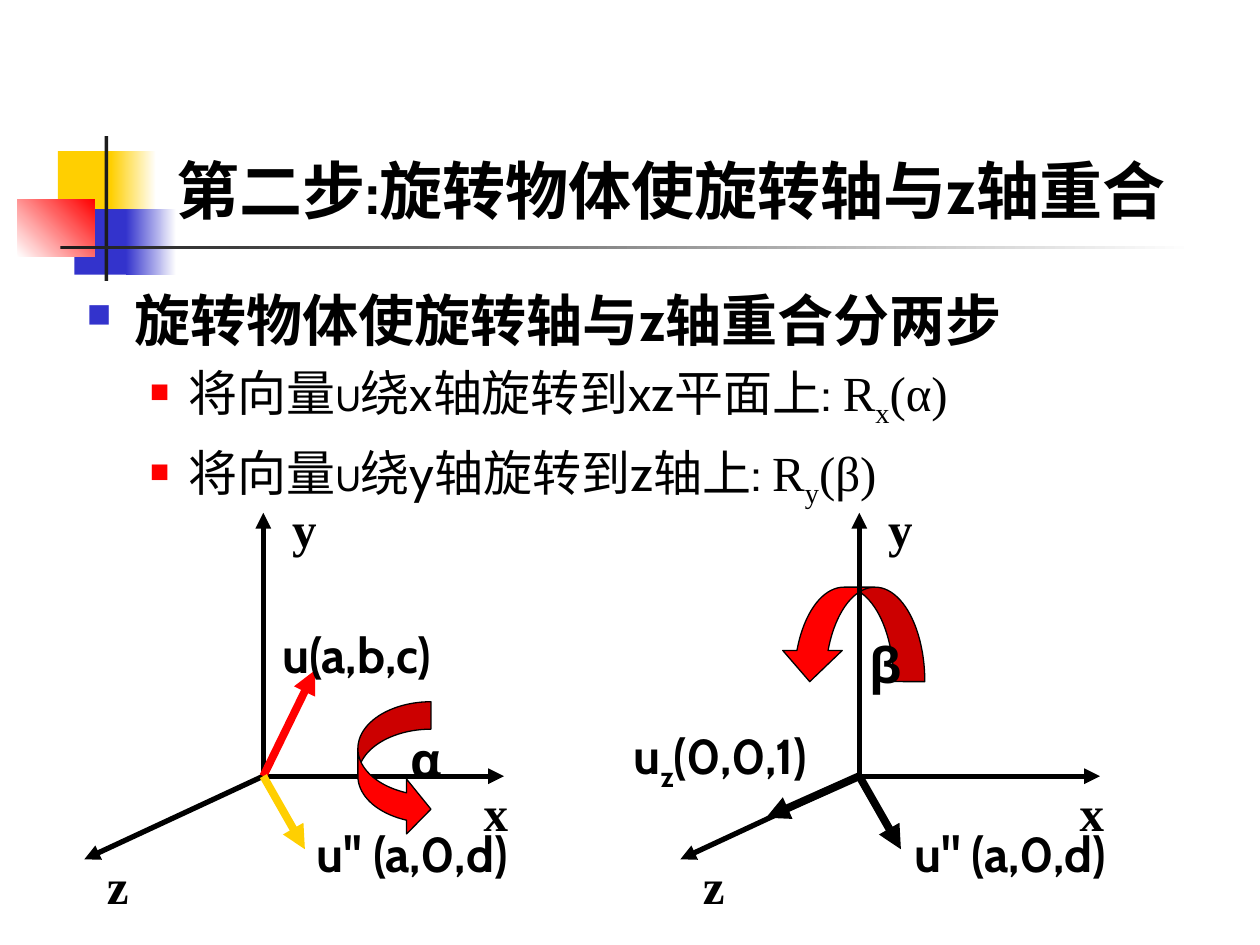
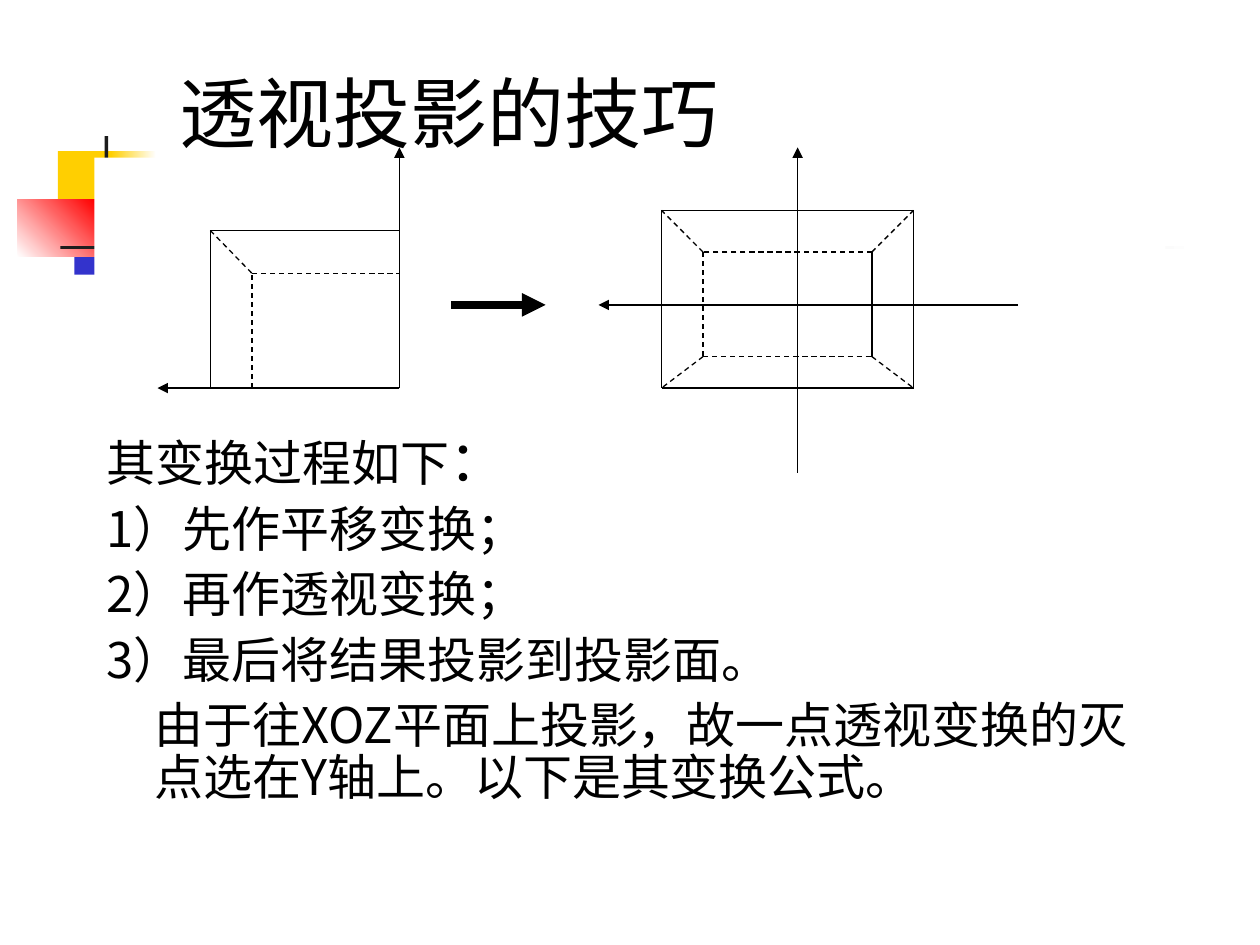
"""Build two slides on rotating about an arbitrary axis and perspective projection."""
import pptx
import pptx.dml.color
import pptx.enum.dml
import pptx.enum.shapes
import pptx.enum.text
import pptx.oxml
import pptx.oxml.ns
import pptx.util
from lxml import etree

Inches, Pt = pptx.util.Inches, pptx.util.Pt
SHAPE = pptx.enum.shapes.MSO_SHAPE
ANCHOR = pptx.enum.text.MSO_ANCHOR

CABIN, NOTO, TIMES = "Cabin", "Noto Sans CJK SC", "Times New Roman"
BLACK, WHITE, DARK = "000000", "FFFFFF", "1C1C1C"
YELLOW, BLUE, RED = "FFCF01", "3333CC", "FF0000"

MOTIF = [
    ((0.46, 1.2, 0.48, 0.52), [YELLOW], 0),
    ((0.88, 1.2, 0.36, 0.52), [YELLOW, WHITE], 0),
    ((0.59, 1.66, 0.46, 0.52), [BLUE], 0),
    ((1, 1.66, 0.4, 0.52), [BLUE, WHITE], 0),
    ((0.14, 1.58, 0.61, 0.46), [WHITE, RED], 45),
    ((0.83, 1.08, 0.03, 1.15), [DARK], 0),
    ((0.48, 1.95, 9, 0.03), [DARK, WHITE], 0),
]

ROTATION_TITLE = "第二步:旋转物体使旋转轴与z轴重合"
ROTATION_STEPS = [
    ([("旋转物体使旋转轴与z轴重合分两步", {})],
     dict(size=32, bold=True, left=0.38, hang=0.38, bullet=(BLUE, 60), exact=41)),
    ([("将向量", {}), ("U", dict(size=20)), ("绕x轴旋转到xz平面上: ", {}),
      ("R", dict(font=TIMES)), ("x", dict(font=TIMES, sub=True)), ("(α)", dict(font=TIMES))],
     dict(left=0.81, hang=0.31, bullet=(RED, 55), exact=37, before=7)),
    ([("将向量", {}), ("U", dict(size=20)), ("绕y轴旋转到z轴上: ", {}),
      ("R", dict(font=TIMES)), ("y", dict(font=TIMES, sub=True)), ("(β)", dict(font=TIMES))],
     dict(left=0.81, hang=0.31, bullet=(RED, 55), exact=37, before=8.5)),
]
ORIGINS = [(2.09, 6.16), (6.82, 6.16)]
AXIS_TIPS = [(0, -2.09), (1.91, 0), (-1.42, 0.66)]
AXIS_LABELS = [("x", 1.65, 0, 0.39), ("z", -1.34, 0.58, 0.37), ("y", 0.13, -2.25, 0.39)]
VECTORS = [
    [((0.41, -0.84), RED), ((0.33, 0.58), YELLOW)],
    [((-0.74, 0.33), BLACK), ((0.33, 0.58), BLACK)],
]
TURN_X = (SHAPE.CURVED_RIGHT_ARROW, (2.84, 5.57, 0.58, 1.07), (0.375, 0.75, 0.333), False)
TURN_Y = (SHAPE.CURVED_DOWN_ARROW, (6.19, 4.66, 1.15, 0.75), (0.33, 0.63, 0.33), True)
VECTOR_LABELS = [
    ("u(a,b,c)", (2.14, 4.91, 1.62, 0.57)),
    ("α", (3.16, 5.74, 0.45, 0.57)),
    ("β", (6.8, 4.99, 0.45, 0.57)),
    ("u'' (a,0,d)", (2.41, 6.49, 1.95, 0.57)),
    ("u'' (a,0,d)", (7.16, 6.49, 1.95, 0.57)),
]
UNIT_LABEL = [("u", {}), ("z", dict(sub=True)), ("(0,0,1)", {})]

PROJECTION_TITLE = "透视投影的技巧"
PROJECTION_INTRO = [("其变换过程如下", {}), ("：", dict(size=32))]
PROJECTION_STEPS = ["1）先作平移变换；", "2）再作透视变换；", "3）最后将结果投影到投影面。"]
PROJECTION_NOTE = "由于往XOZ平面上投影，故一点透视变换的灭点选在Y轴上。以下是其变换公式。"
PROJECTION_AXES = [
    ((3.17, 3.08), (3.17, 1.17)), ((3.17, 3.08), (1.25, 3.08)),
    ((8.08, 2.42), (4.75, 2.42)), ((6.33, 3.75), (6.33, 1.17)),
]
QUARTER_OUTER = [(1.67, 3.08), (1.67, 1.83), (3.17, 1.83)]
QUARTER_INNER = [(2, 3.08), (2, 2.17), (3.17, 2.17)]
FRONT_FACE = [(5.25, 1.67), (5.25, 3.08), (7.25, 3.08), (7.25, 1.67)]
BACK_FACE = [(5.58, 2), (5.58, 2.83), (6.92, 2.83), (6.92, 2)]


def rgb(value):
    return pptx.dml.color.RGBColor.from_string(value)


def add_shape(slide, kind, box, colors, angle=0, line=None):
    sp = slide.shapes.add_shape(kind, *map(Inches, box))
    sp.shadow.inherit = False
    if len(colors) == 1:
        sp.fill.solid()
        sp.fill.fore_color.rgb = rgb(colors[0])
    else:
        sp.fill.gradient()
        sp.fill.gradient_angle = angle
        for stop, color, position in zip(sp.fill.gradient_stops, colors, (0, 1)):
            stop.color.rgb = rgb(color)
            stop.position = position
    if line:
        sp.line.color.rgb = rgb(line)
        sp.line.width = Pt(0.75)
    else:
        sp.line.fill.background()
    return sp


def add_line(slide, start, end, width=0.75, color=BLACK, arrow=False, dash=False):
    cx = slide.shapes.add_connector(
        pptx.enum.shapes.MSO_CONNECTOR.STRAIGHT, *map(Inches, (*start, *end)))
    cx.line.color.rgb = rgb(color)
    cx.line.width = Pt(width)
    if dash:
        cx.line.dash_style = pptx.enum.dml.MSO_LINE.DASH
    if arrow:
        tail = etree.SubElement(cx.line._get_or_add_ln(), pptx.oxml.ns.qn("a:tailEnd"))
        tail.set("type", "triangle")
    etree.SubElement(cx._element.spPr, pptx.oxml.ns.qn("a:effectLst"))


def add_bullet(p, color, percent):
    ns = pptx.oxml.ns.nsdecls("a")
    for xml in (f'<a:buClr {ns}><a:srgbClr val="{color}"/></a:buClr>',
                f'<a:buSzPct {ns} val="{percent * 1000}"/>',
                f'<a:buChar {ns} char="■"/>'):
        p._p.get_or_add_pPr().append(pptx.oxml.parse_xml(xml))


def set_font(font, name, size, bold):
    font.name, font.size, font.bold = name, Pt(size), bold
    font.color.rgb = rgb(BLACK)
    ea = etree.SubElement(font._element, pptx.oxml.ns.qn("a:ea"))
    ea.set("typeface", NOTO)


def write(p, runs, font=CABIN, size=28, bold=False, left=0, hang=0,
          bullet=None, exact=None, before=0):
    pPr = p._p.get_or_add_pPr()
    pPr.set("marL", str(Inches(left)))
    pPr.set("indent", str(Inches(-hang)))
    p.alignment = pptx.enum.text.PP_ALIGN.LEFT
    p.space_before = Pt(before)
    if exact:
        p.line_spacing = Pt(exact)
    if bullet:
        add_bullet(p, *bullet)
    set_font(p.font, font, size, bold)
    for text, style in runs:
        r = p.add_run()
        r.text = text
        if "size" in style:
            r.font.size = Pt(style["size"])
        if "font" in style:
            r.font.name = style["font"]
        if "sub" in style:
            r.font._element.set("baseline", "-25000")


def fill_text(tf, paragraphs):
    tf.word_wrap = True
    tf.vertical_anchor = ANCHOR.TOP
    for i, (runs, style) in enumerate(paragraphs):
        write(tf.paragraphs[0] if i == 0 else tf.add_paragraph(), runs, **style)


def add_label(slide, runs, box, font=CABIN):
    tf = slide.shapes.add_textbox(*map(Inches, box)).text_frame
    tf.word_wrap = False
    write(tf.paragraphs[0], runs, font=font, bold=True)
    return tf


def add_base(prs, title, box, **style):
    slide = prs.slides.add_slide(prs.slide_layouts[6])
    for place, colors, angle in MOTIF:
        add_shape(slide, SHAPE.RECTANGLE, place, colors, angle)
    return slide, (title, box, style)


def add_title(slide, title, box, style):
    tf = slide.shapes.add_textbox(*map(Inches, box)).text_frame
    fill_text(tf, [([(title, {})], style)])
    tf.vertical_anchor = ANCHOR.BOTTOM
    tf.margin_bottom = 0


def add_turn(slide, kind, box, adjustments, flipped):
    sp = add_shape(slide, kind, box, [RED], line=BLACK)
    for i, value in enumerate(adjustments):
        sp.adjustments[i] = value
    if flipped:
        sp._element.spPr.xfrm.set("flipH", "1")


def build_rotation(prs):
    slide, title = add_base(prs, ROTATION_TITLE, (1.3, 1.07, 8.92, 0.73), size=36, bold=True)
    add_turn(slide, *TURN_Y)
    add_title(slide, *title)
    body = slide.shapes.add_textbox(*map(Inches, (0.59, 2.18, 8.94, 2.05)))
    fill_text(body.text_frame, ROTATION_STEPS)
    for (x, y), vectors in zip(ORIGINS, VECTORS):
        for dx, dy in AXIS_TIPS:
            add_line(slide, (x, y), (x + dx, y + dy), 3, arrow=True)
        for name, dx, dy, width in AXIS_LABELS:
            add_label(slide, [(name, {})], (x + dx, y + dy, width, 0.57), TIMES)
        for (dx, dy), color in vectors:
            add_line(slide, (x, y), (x + dx, y + dy), 4.5, color, arrow=True)
    add_turn(slide, *TURN_X)
    for text, box in VECTOR_LABELS:
        add_label(slide, [(text, {})], box)
    unit = add_label(slide, UNIT_LABEL, (4.93, 5.66, 1.71, 0.69))
    unit.paragraphs[0].line_spacing = 1.1


def build_projection(prs):
    slide, title = add_base(prs, PROJECTION_TITLE, (1.33, 0, 7.92, 1.25), size=44, font=NOTO)
    add_title(slide, *title)
    panel = add_shape(slide, SHAPE.RECTANGLE, (0.75, 1.25, 8.5, 5.42), [WHITE])
    panel.text_frame.margin_top = Inches(2.24)
    common = dict(font=NOTO, left=0.38, exact=30.2)
    step = dict(common, hang=0.38, before=7)
    fill_text(panel.text_frame, [
        (PROJECTION_INTRO, dict(step, before=0)),
        *(([(text, {})], step) for text in PROJECTION_STEPS),
        ([(PROJECTION_NOTE, {})], dict(common, before=7)),
    ])
    for start, end in PROJECTION_AXES:
        add_line(slide, start, end, arrow=True)
    for points, dash in ((QUARTER_OUTER, False), (QUARTER_INNER, True)):
        for start, end in zip(points, points[1:]):
            add_line(slide, start, end, dash=dash)
    add_line(slide, QUARTER_OUTER[1], QUARTER_INNER[1], dash=True)
    for i, (front, back) in enumerate(zip(FRONT_FACE, BACK_FACE)):
        following = (i + 1) % len(FRONT_FACE)
        add_line(slide, front, FRONT_FACE[following])
        add_line(slide, back, BACK_FACE[following], dash=i != 2)
        add_line(slide, back, front, dash=True)
    add_line(slide, (3.58, 2.42), (4.33, 2.42), 4.5, arrow=True)


def main():
    prs = pptx.Presentation()
    prs.slide_width, prs.slide_height = Inches(10), Inches(7.5)
    build_rotation(prs)
    build_projection(prs)
    prs.save("out.pptx")


if __name__ == "__main__":
    main()
